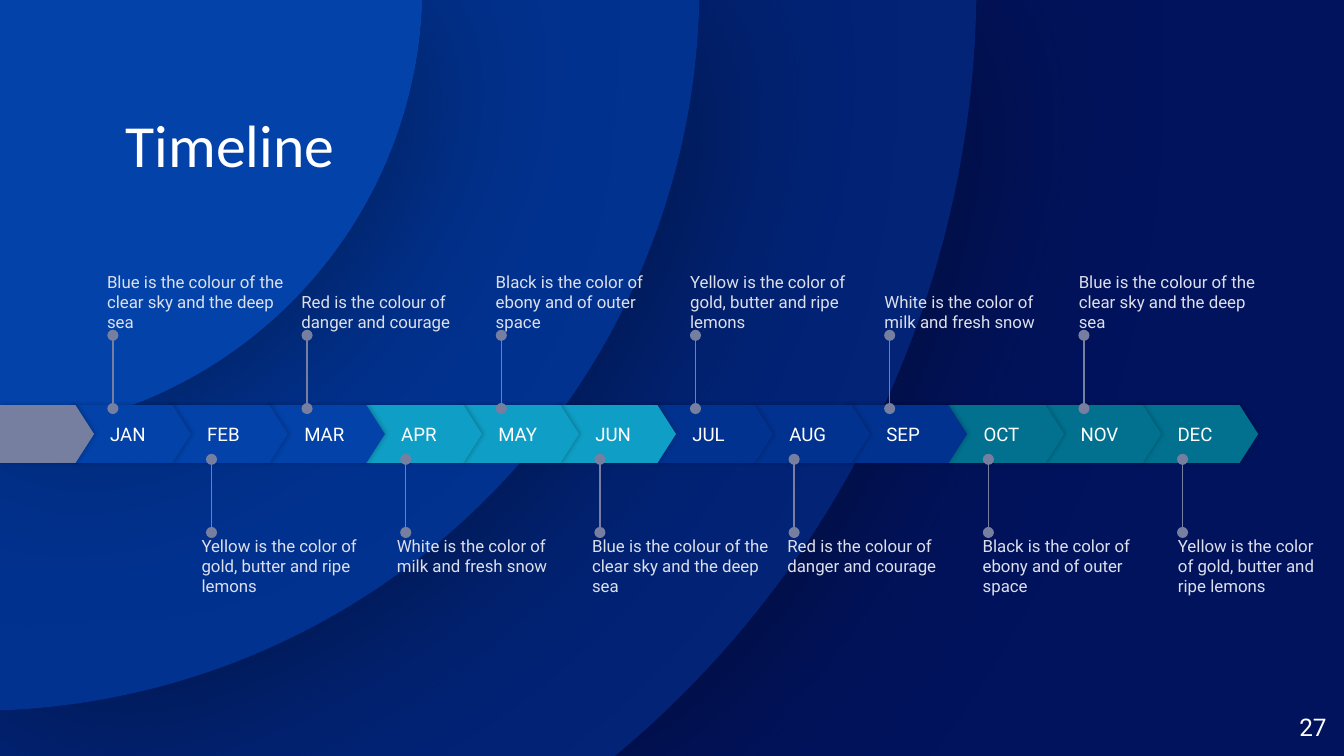
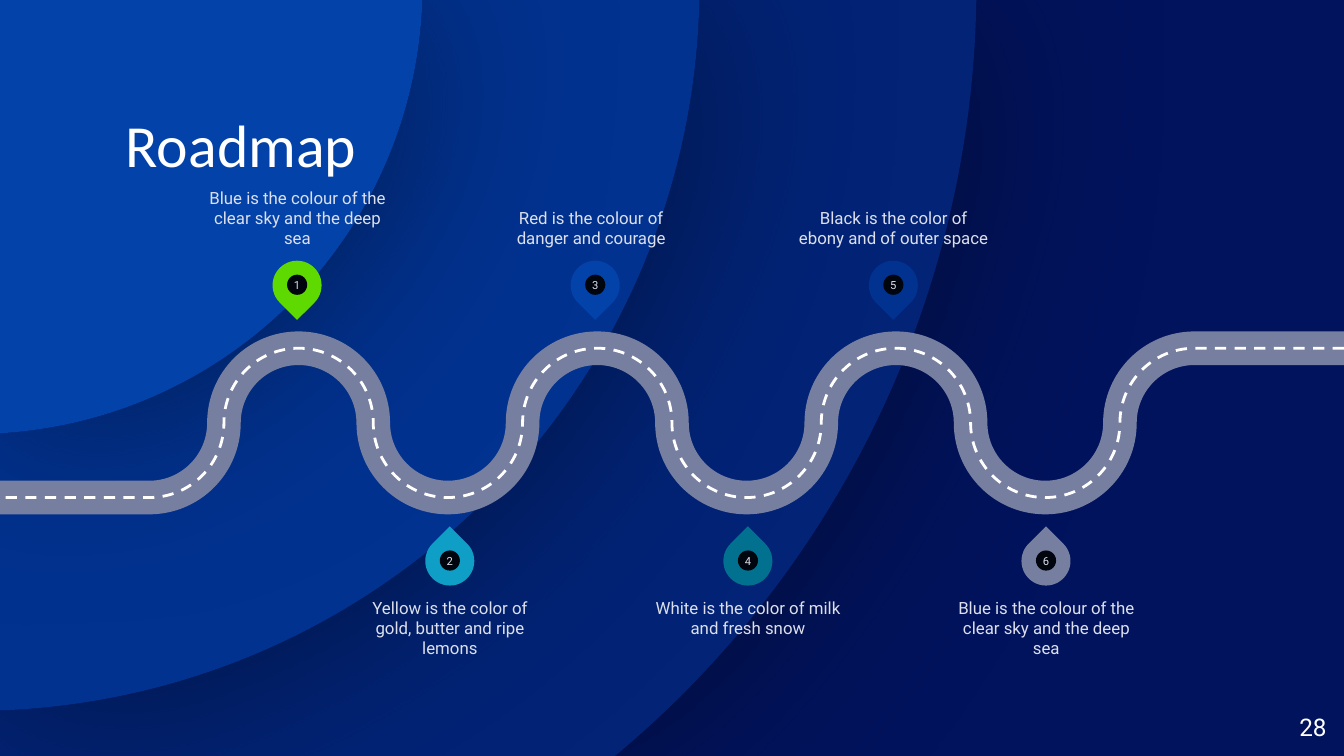
from dataclasses import dataclass
from math import acos, asin, cos, pi, sin, tan

from lxml.etree import SubElement
from pptx import Presentation
from pptx.dml.color import RGBColor
from pptx.enum.dml import MSO_LINE
from pptx.enum.shapes import MSO_CONNECTOR, MSO_SHAPE
from pptx.enum.text import MSO_ANCHOR as ANCHOR, MSO_AUTO_SIZE, PP_ALIGN as ALIGN
from pptx.oxml.ns import qn
from pptx.util import Inches, Pt

COLUMNS, ROWS = 100, 56.25


@dataclass(frozen=True)
class Theme:
    navy: str = "01135D"
    deep: str = "022376"
    royal: str = "023290"
    blue: str = "0342A9"
    cyan: str = "0F9EC5"
    teal: str = "027190"
    green: str = "5EDA00"
    grey: str = "777FA0"
    black: str = "01050E"
    shade: str = "000000"
    white: str = "FFFFFF"
    pale: str = "DDE0EB"
    title_font: str = "Calibri"
    body_font: str = "Roboto"
    title_size: float = 32
    number_size: float = 13
    month_size: float = 10
    body_size: float = 9
    dot_size: float = 6


THEME = Theme()


def color(value):
    return RGBColor.from_string(value)


def write(shape, text, size=THEME.body_size, tint=THEME.pale, font=THEME.body_font,
          anchor=ANCHOR.TOP, align=ALIGN.LEFT, inset=0, spacing=None):
    frame = shape.text_frame
    frame.word_wrap = True
    frame.auto_size = MSO_AUTO_SIZE.NONE
    frame.vertical_anchor = anchor
    frame.margin_left = inset
    frame.margin_top = frame.margin_right = frame.margin_bottom = 0
    paragraph = frame.paragraphs[0]
    paragraph.alignment = align
    if spacing:
        paragraph.line_spacing = spacing
    run = paragraph.add_run()
    run.text = text
    run.font.size = Pt(size)
    run.font.name = font
    run.font.color.rgb = color(tint)


def arc(center_x, center_y, radius, start, end, pieces=2):
    sweep = (end - start) / pieces
    pull = 4 / 3 * tan(sweep / 4)

    def place(angle, lean):
        return (center_x + radius * (cos(angle) - lean * sin(angle)),
                center_y + radius * (sin(angle) + lean * cos(angle)))

    angles = [start + sweep * piece for piece in range(pieces + 1)]
    curves = [(place(first, pull), place(last, -pull), place(last, 0))
              for first, last in zip(angles, angles[1:])]
    return [(place(start, 0),)] + curves


class Deck:
    def __init__(self, theme):
        self.theme = theme
        self.presentation = Presentation()
        self.presentation.slide_width = Inches(10)
        self.presentation.slide_height = Inches(5.625)
        self.slide = None

    def x(self, columns):
        return round(self.presentation.slide_width * columns / COLUMNS)

    def y(self, rows):
        return round(self.presentation.slide_height * rows / ROWS)

    def box(self, left, top, width, height):
        return self.x(left), self.y(top), self.x(width), self.y(height)

    def new_slide(self, title, number):
        theme = self.theme
        self.slide = self.presentation.slides.add_slide(self.presentation.slide_layouts[5])
        background = self.slide.background.fill
        background.solid()
        background.fore_color.rgb = color(theme.navy)
        self.rings()
        heading = self.slide.shapes.title
        heading.left, heading.top, heading.width, heading.height = self.box(9.35, 9.15, 81.3, 4.3)
        write(heading, title, size=theme.title_size, tint=theme.white, font=theme.title_font,
              anchor=ANCHOR.BOTTOM, spacing=0.9)
        heading.element.getparent().append(heading.element)
        self.text(number, 92.7, 51.9, 6, 4.3, size=theme.number_size, tint=theme.white,
                  anchor=ANCHOR.MIDDLE, align=ALIGN.RIGHT)

    def rings(self):
        theme = self.theme
        left, above = 1.95, 1.1

        def rim(radius, backward=False):
            start = asin(above / radius)
            end = min(acos(left / radius), asin(min(1, (ROWS + above) / radius)))
            if backward:
                start, end = end, start
            return arc(-left, -above, radius, start, end)

        for outer, inner, fill in ((74.6, 54, theme.deep), (54, 33.4, theme.royal),
                                   (33.4, 0, theme.blue)):
            corner = [((0, ROWS),)] if outer > ROWS + above else []
            inside = rim(inner, backward=True) if inner else [((0, 0),)]
            ring = self.outline(rim(outer) + corner + inside, closed=True)
            self.paint(ring, fill)
            self.shadow(ring, theme.black, 50, 112.5, 0)

    def outline(self, segments, closed=False):
        segments = [[(self.x(column), self.y(row)) for column, row in segment]
                    for segment in segments]
        anchors = [segment[-1] for segment in segments]
        builder = self.slide.shapes.build_freeform(*anchors[0], scale=1)
        builder.add_line_segments(anchors[1:], close=closed)
        shape = builder.convert_to_shape()
        shape.shadow.inherit = False
        lines = list(shape.element.iter(qn("a:lnTo")))
        for line, segment in zip(lines, segments[1:]):
            if len(segment) == 3:
                line.tag = qn("a:cubicBezTo")
                line.remove(line[0])
                for column, row in segment:
                    SubElement(line, qn("a:pt"), x=str(column - shape.left),
                               y=str(row - shape.top))
        return shape

    def paint(self, shape, fill):
        shape.fill.solid()
        shape.fill.fore_color.rgb = color(fill)
        shape.line.fill.background()
        shape.shadow.inherit = False

    def shadow(self, shape, tint, opacity, blur, distance):
        effects = shape.element.spPr.find(qn("a:effectLst"))
        outer = SubElement(effects, qn("a:outerShdw"), blurRad=str(Pt(blur)),
                           dist=str(Pt(distance)), dir="0", algn="ctr", rotWithShape="0")
        tone = SubElement(outer, qn("a:srgbClr"), val=tint)
        SubElement(tone, qn("a:alpha"), val=str(opacity * 1000))

    def text(self, content, left, top, width, height, **style):
        box = self.slide.shapes.add_textbox(*self.box(left, top, width, height))
        write(box, content, **style)

    def shape(self, kind, left, top, width, height, fill, group=None):
        shapes = (group or self.slide).shapes
        shape = shapes.add_shape(kind, *self.box(left, top, width, height))
        self.paint(shape, fill)
        return shape

    def chevron(self, left, width, fill, label=None):
        theme = self.theme
        shape = self.shape(MSO_SHAPE.PENTAGON, left, 30.15, width, 4.3, fill)
        shape.adjustments[0] = 0.32
        self.shadow(shape, theme.shade, 20, 2.2, 0.8)
        if label:
            write(shape, label, size=theme.month_size, tint=theme.white,
                  anchor=ANCHOR.MIDDLE, inset=self.x(3))

    def pin(self, column, start, end):
        line = self.slide.shapes.add_connector(
            MSO_CONNECTOR.STRAIGHT, self.x(column), self.y(start), self.x(column), self.y(end))
        line.line.color.rgb = color(self.theme.grey)
        line.line.width = Pt(0.75)
        properties = line.element.spPr
        for tip in ("a:headEnd", "a:tailEnd"):
            SubElement(properties.find(qn("a:ln")), qn(tip), type="oval")
        SubElement(properties, qn("a:effectLst"))

    def stroke(self, segments, tint, width, dash=None):
        shape = self.outline(segments)
        shape.fill.background()
        shape.line.color.rgb = color(tint)
        shape.line.width = Pt(width)
        if dash:
            shape.line.dash_style = dash

    def marker(self, label, left, top, fill, rotation):
        theme = self.theme
        group = self.slide.shapes.add_group_shape()
        drop = self.shape(MSO_SHAPE.TEAR, left, top, 3.65, 3.65, fill, group)
        drop.rotation = rotation
        dot = self.shape(MSO_SHAPE.OVAL, left + 1.08, top + 1.04, 1.5, 1.5, theme.black, group)
        write(dot, label, size=theme.dot_size, anchor=ANCHOR.MIDDLE, align=ALIGN.CENTER)


BLUE = "Blue is the colour of the clear sky and the deep sea"
RED = "Red is the colour of danger and courage"
BLACK = "Black is the color of ebony and of outer space"
YELLOW = "Yellow is the color of gold, butter and ripe lemons"
WHITE = "White is the color of milk and fresh snow"


def timeline(deck):
    theme = deck.theme
    deck.new_slide("Timeline", "27")
    months = "JAN FEB MAR APR MAY JUN JUL AUG SEP OCT NOV DEC".split()
    quarters = (theme.blue, theme.cyan, theme.royal, theme.teal)
    for index, month in reversed(list(enumerate(months))):
        deck.chevron(5.2 + 7.22 * index, 9, quarters[index // 3], month)
    deck.chevron(0, 7, theme.grey)

    for index, note in enumerate((BLUE, RED, BLACK, YELLOW, WHITE, BLUE)):
        deck.pin(8.4 + 14.45 * index, 30.4, 24.95)
        deck.text(note, 7.97 + 14.46 * index, 18.9, 13.7, 5.8, anchor=ANCHOR.BOTTOM)
    for index, note in enumerate((YELLOW, WHITE, BLUE, RED, BLACK, YELLOW)):
        left = 15 + 14.53 * index
        deck.pin(15.74 + 14.45 * index, 39.62, 34.18)
        deck.text(note, left, 39.85, min(13.7, 98.9 - left), 5.8)


def roadmap(deck):
    theme = deck.theme
    deck.new_slide("Roadmap", "28")
    bend, middle = COLUMNS / 18, 31.47
    road = [((COLUMNS, middle - bend),)]
    road += arc(16 * bend, middle, bend, 1.5 * pi, pi, pieces=1)
    for turn in range(7, 1, -1):
        start = 2 * pi if turn % 2 == 0 else 0
        road += arc(2 * turn * bend, middle, bend, start, pi)[1:]
    road += arc(2 * bend, middle, bend, 0, pi / 2, pieces=1)[1:]
    road.append(((0, middle + bend),))
    deck.stroke(road, theme.grey, 18)
    deck.stroke(road, theme.white, 1.5, MSO_LINE.DASH)

    upper = ((theme.green, 15.08, BLUE), (theme.blue, 36.93, RED), (theme.royal, 59.43, BLACK))
    lower = ((theme.cyan, 26.42, YELLOW), (theme.teal, 48.6, WHITE), (theme.grey, 70.8, BLUE))
    sides = ((upper, 1, 20.28, 19.4, 135, 12.65, ANCHOR.BOTTOM),
             (lower, 2, 31.64, 39.92, 315, 44.45, ANCHOR.TOP))
    for stops, first, left, top, rotation, note_top, anchor in sides:
        for index, (fill, note_left, note) in enumerate(stops):
            deck.marker(str(first + 2 * index), left + 22.18 * index, top, fill, rotation)
            deck.text(note, note_left, note_top, 14.1, 5.8, anchor=anchor, align=ALIGN.CENTER)


def main():
    deck = Deck(THEME)
    timeline(deck)
    roadmap(deck)
    deck.presentation.save("out.pptx")


if __name__ == "__main__":
    main()
